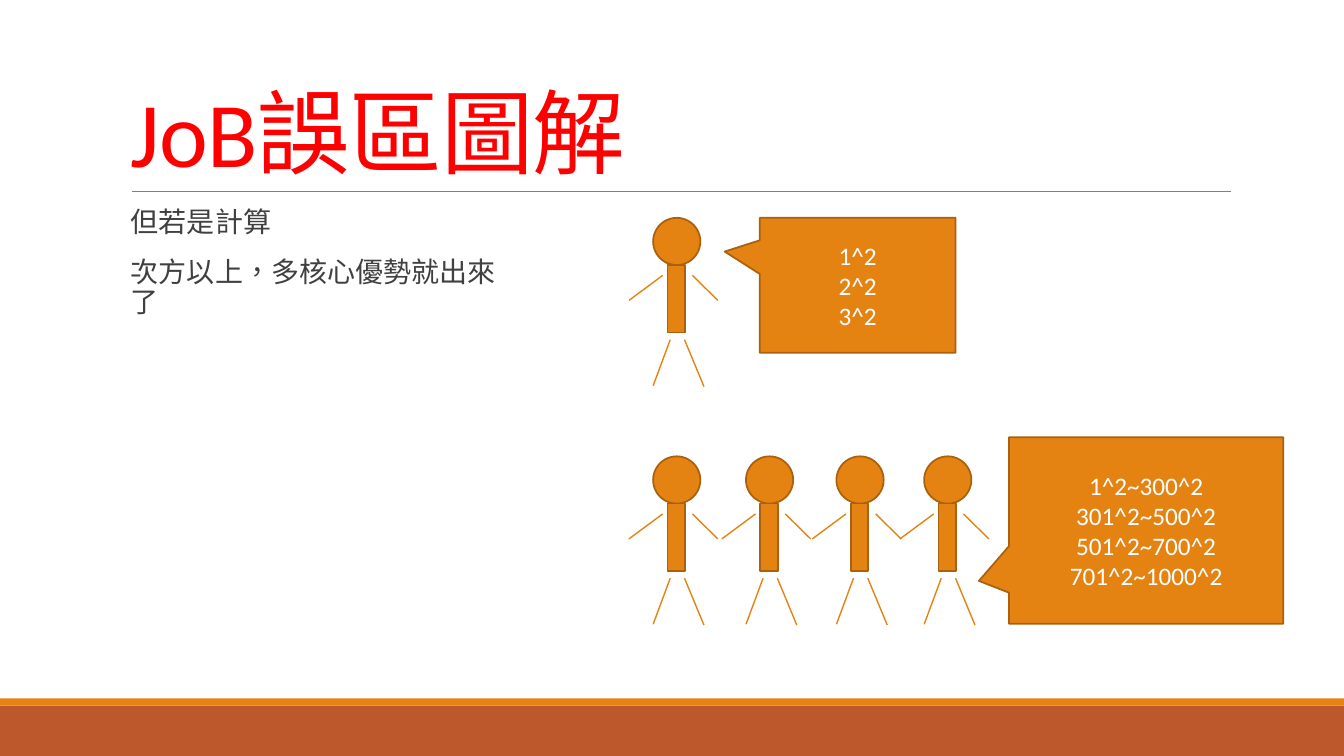
import pptx
import pptx.dml.color
import pptx.enum.shapes
import pptx.enum.text
import pptx.oxml.ns
import pptx.util
from lxml import etree

Cm = pptx.util.Cm
Pt = pptx.util.Pt
SHAPE = pptx.enum.shapes.MSO_SHAPE
ANCHOR = pptx.enum.text.MSO_ANCHOR
ALIGN = pptx.enum.text.PP_ALIGN

ORANGE = "E48312"
DARK_ORANGE = "A9610D"
RUST = "BD582C"
SLIDE_WIDTH = 33.87
HEAD_SIZE = 1.19
LIMBS = [
    (0.24, 1.45, -0.61, 2.08),
    (0.99, 1.45, 1.63, 2.08),
    (0.43, 3.07, 0, 4.23),
    (0.79, 3.07, 1.28, 4.25),
]


def color(value):
    return pptx.dml.color.RGBColor.from_string(value)


def add_block(shapes, kind, left, top, width, height, fill=ORANGE, outline=DARK_ORANGE):
    shape = shapes.add_shape(kind, Cm(left), Cm(top), Cm(width), Cm(height))
    shape.shadow.inherit = False
    shape.fill.solid()
    shape.fill.fore_color.rgb = color(fill)
    if outline:
        shape.line.color.rgb = color(outline)
        shape.line.width = Pt(1.25)
    else:
        shape.line.fill.background()
    return shape


def add_line(shapes, left, top, right, bottom, stroke=ORANGE, width=1):
    connector = shapes.add_connector(
        pptx.enum.shapes.MSO_CONNECTOR.STRAIGHT, Cm(left), Cm(top), Cm(right), Cm(bottom)
    )
    connector.line.color.rgb = color(stroke)
    connector.line.width = Pt(width)
    etree.SubElement(connector._element.spPr, pptx.oxml.ns.qn("a:effectLst"))


def write_text(shape, text, size, fill, anchor=ANCHOR.TOP, align=ALIGN.LEFT,
               line_spacing=1.0, before=0, after=0, tracking=0):
    frame = shape.text_frame
    frame.word_wrap = True
    frame.vertical_anchor = anchor
    for index, line in enumerate(text.split("\n")):
        paragraph = frame.add_paragraph() if index else frame.paragraphs[0]
        paragraph.alignment = align
        paragraph.line_spacing = line_spacing
        paragraph.space_before = Pt(before)
        paragraph.space_after = Pt(after)
        run = paragraph.add_run()
        run.text = line
        run.font.name = "Calibri"
        run.font.size = Pt(size)
        run.font.color.rgb = color(fill)
        properties = run._r.get_or_add_rPr()
        properties.set("lang", "zh-TW")
        if tracking:
            properties.set("spc", str(int(tracking * 100)))


def add_text(shapes, left, top, width, height, text, **text_format):
    box = shapes.add_textbox(Cm(left), Cm(top), Cm(width), Cm(height))
    write_text(box, text, **text_format)
    return box


def add_figure(shapes, left, top):
    add_block(shapes, SHAPE.OVAL, left, top, HEAD_SIZE, HEAD_SIZE)
    add_block(shapes, SHAPE.RECTANGLE, left + 0.36, top + HEAD_SIZE, 0.44, 1.7)
    for start_x, start_y, end_x, end_y in LIMBS:
        add_line(shapes, left + start_x, top + start_y, left + end_x, top + end_y)


def add_team(slide, lefts, top):
    group = slide.shapes.add_group_shape()
    for left in lefts:
        add_figure(group.shapes, left, top)


def add_callout(slide, left, top, width, height, tip, text):
    callout = add_block(slide.shapes, SHAPE.RECTANGULAR_CALLOUT, left, top, width, height)
    callout.adjustments[0], callout.adjustments[1] = tip
    write_text(callout, text, size=18, fill="FFFFFF", anchor=ANCHOR.MIDDLE, align=ALIGN.CENTER)


def main():
    presentation = pptx.Presentation()
    presentation.slide_width = Cm(SLIDE_WIDTH)
    presentation.slide_height = Cm(19.05)
    slide = presentation.slides.add_slide(presentation.slide_layouts[6])
    shapes = slide.shapes

    add_block(shapes, SHAPE.RECTANGLE, 0, 17.78, SLIDE_WIDTH, 1.27, fill=RUST, outline=None)
    add_block(shapes, SHAPE.RECTANGLE, 0, 17.6, SLIDE_WIDTH, 0.18, outline=None)
    add_line(shapes, 3.33, 4.83, 31.01, 4.83, stroke="808080", width=0.5)

    add_text(shapes, 3.05, 0.79, 27.94, 4.04, "JoB誤區圖解", size=66, fill="FF0000",
             anchor=ANCHOR.BOTTOM, line_spacing=0.85, tracking=-0.5)
    body = add_text(shapes, 3.05, 5.13, 9.58, 11.18, "但若是計算\n次方以上，多核心優勢就出來了",
                    size=20, fill="404040", line_spacing=0.9, before=12, after=2)
    body.text_frame.margin_left = Cm(0.25)
    body.text_frame.margin_right = 0

    add_team(slide, [16.46], 5.49)
    add_team(slide, [16.46, 18.8, 21.08, 23.29], 11.5)
    add_callout(slide, 19.15, 5.49, 4.93, 3.4, (-0.68, -0.25), "1^2\n2^2\n3^2")
    add_callout(slide, 25.43, 11.02, 6.91, 4.7, (-0.61, 0.27),
                "1^2~300^2\n301^2~500^2\n501^2~700^2\n701^2~1000^2")
    presentation.save("out.pptx")


if __name__ == "__main__":
    main()
